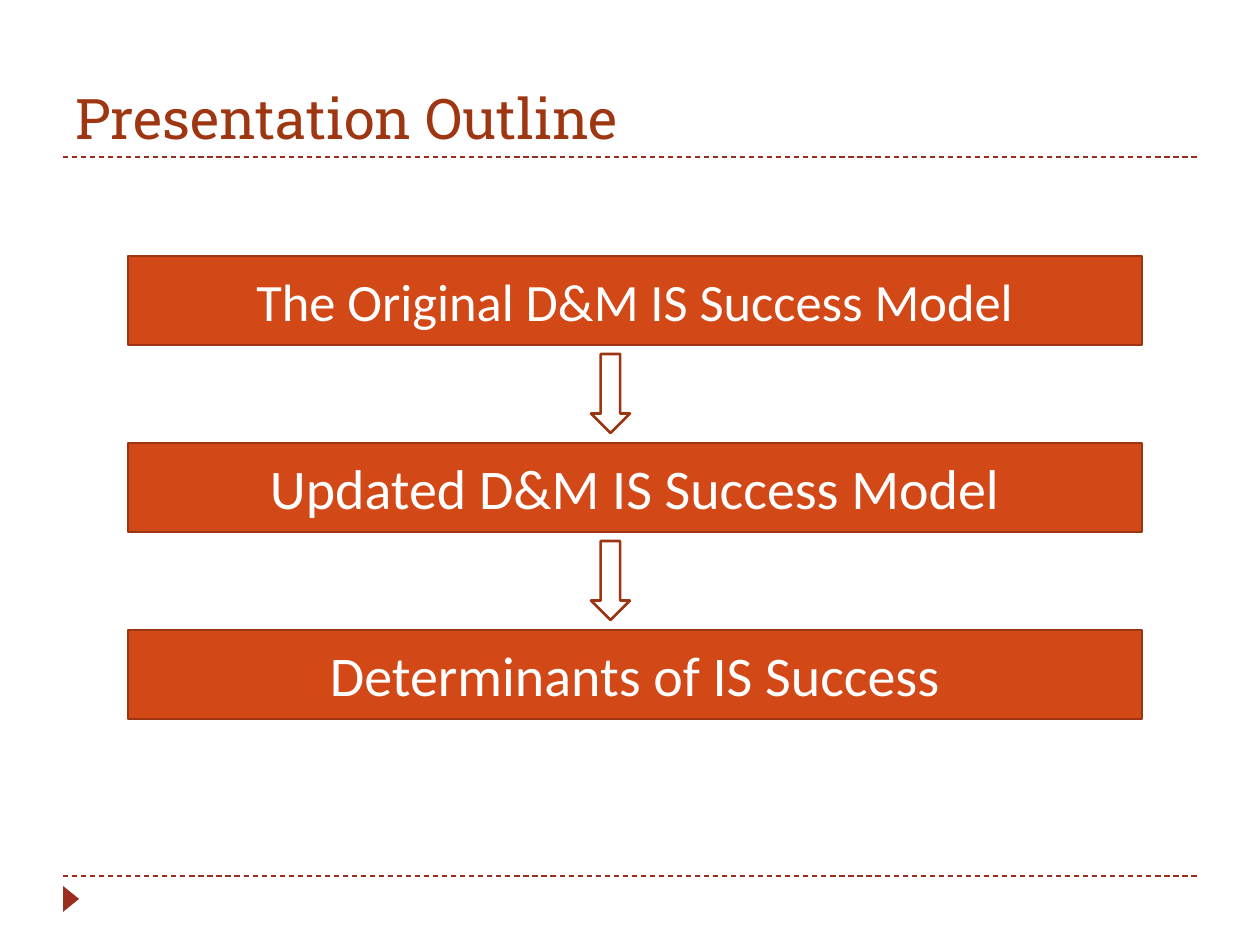
from dataclasses import dataclass

from lxml import etree
from pptx import Presentation
from pptx import util as u
from pptx.dml.color import RGBColor
from pptx.enum import dml, shapes, text
from pptx.oxml.ns import qn

PX = 914400 // 126


@dataclass(frozen=True)
class Theme:
    title: str = "9E3611"
    rule: str = "9B2D1F"
    fill: str = "D34817"
    outline: str = "9C3511"
    label: str = "FFFFFF"
    heading_font: str = "Roboto Slab"
    body_font: str = "Calibri"
    title_size: int = 32
    rule_width: float = 0.75
    outline_width: float = 1.5


@dataclass(frozen=True)
class Box:
    x: int
    y: int
    w: int
    h: int

    def down(self, dy: int) -> "Box":
        return Box(self.x, self.y + dy, self.w, self.h)

    def emu(self) -> list[u.Emu]:
        return [u.Emu(v * PX) for v in (self.x, self.y, self.w, self.h)]


@dataclass(frozen=True)
class Step:
    label: str
    size: int


THEME = Theme()
STEPS = [
    Step("The Original D&M IS Success Model", 30),
    Step("Updated D&M IS Success Model", 32),
    Step("Determinants of IS Success", 32),
]
STEP_BOX = Box(128, 256, 1014, 89)
ARROW_BOX = Box(591, 354, 39, 79)
PITCH = 187
RULES = [157, 876]


def rgb(color: str) -> RGBColor:
    return RGBColor.from_string(color)


def add_rule(s, y: int) -> None:
    ln = s.shapes.add_connector(
        shapes.MSO_CONNECTOR.STRAIGHT, *(u.Emu(v * PX) for v in (63, y, 1197, y)))
    ln.line.color.rgb = rgb(THEME.rule)
    ln.line.width = u.Pt(THEME.rule_width)
    ln.line.dash_style = dml.MSO_LINE.DASH
    etree.SubElement(ln._element.spPr, qn("a:effectLst"))


def add_shape(s, kind, box: Box, fill: str | None, outline: str | None):
    sp = s.shapes.add_shape(kind, *box.emu())
    sp.shadow.inherit = False
    if fill:
        sp.fill.solid()
        sp.fill.fore_color.rgb = rgb(fill)
    else:
        sp.fill.background()
    if outline:
        sp.line.color.rgb = rgb(outline)
        sp.line.width = u.Pt(THEME.outline_width)
    else:
        sp.line.fill.background()
    return sp


def set_text(sp, words: str, font: str, size: int, color: str, align, anchor) -> None:
    tf = sp.text_frame
    tf.text = words
    tf.word_wrap = True
    tf.vertical_anchor = anchor
    p = tf.paragraphs[0]
    p.alignment = align
    r = p.runs[0]
    r.font.name = font
    r.font.size = u.Pt(size)
    r.font.color.rgb = rgb(color)


def main() -> None:
    prs = Presentation()
    prs.slide_width, prs.slide_height = u.Inches(10), u.Inches(7.5)
    s = prs.slides.add_slide(prs.slide_layouts[6])

    for y in RULES:
        add_rule(s, y)
    marker = add_shape(s, shapes.MSO_SHAPE.ISOSCELES_TRIANGLE,
                       Box(58, 891, 26, 16), THEME.rule, None)
    marker.rotation = 90

    title = s.shapes.add_textbox(*Box(63, 21, 1134, 136).emu())
    set_text(title, "Presentation Outline", THEME.heading_font, THEME.title_size,
             THEME.title, text.PP_ALIGN.LEFT, text.MSO_ANCHOR.BOTTOM)

    for i, step in enumerate(STEPS):
        sp = add_shape(s, shapes.MSO_SHAPE.RECTANGLE, STEP_BOX.down(i * PITCH),
                       THEME.fill, THEME.outline)
        set_text(sp, step.label, THEME.body_font, step.size, THEME.label,
                 text.PP_ALIGN.CENTER, text.MSO_ANCHOR.MIDDLE)
    for i in range(len(STEPS) - 1):
        add_shape(s, shapes.MSO_SHAPE.DOWN_ARROW, ARROW_BOX.down(i * PITCH),
                  None, THEME.outline)

    prs.save("out.pptx")


main()
